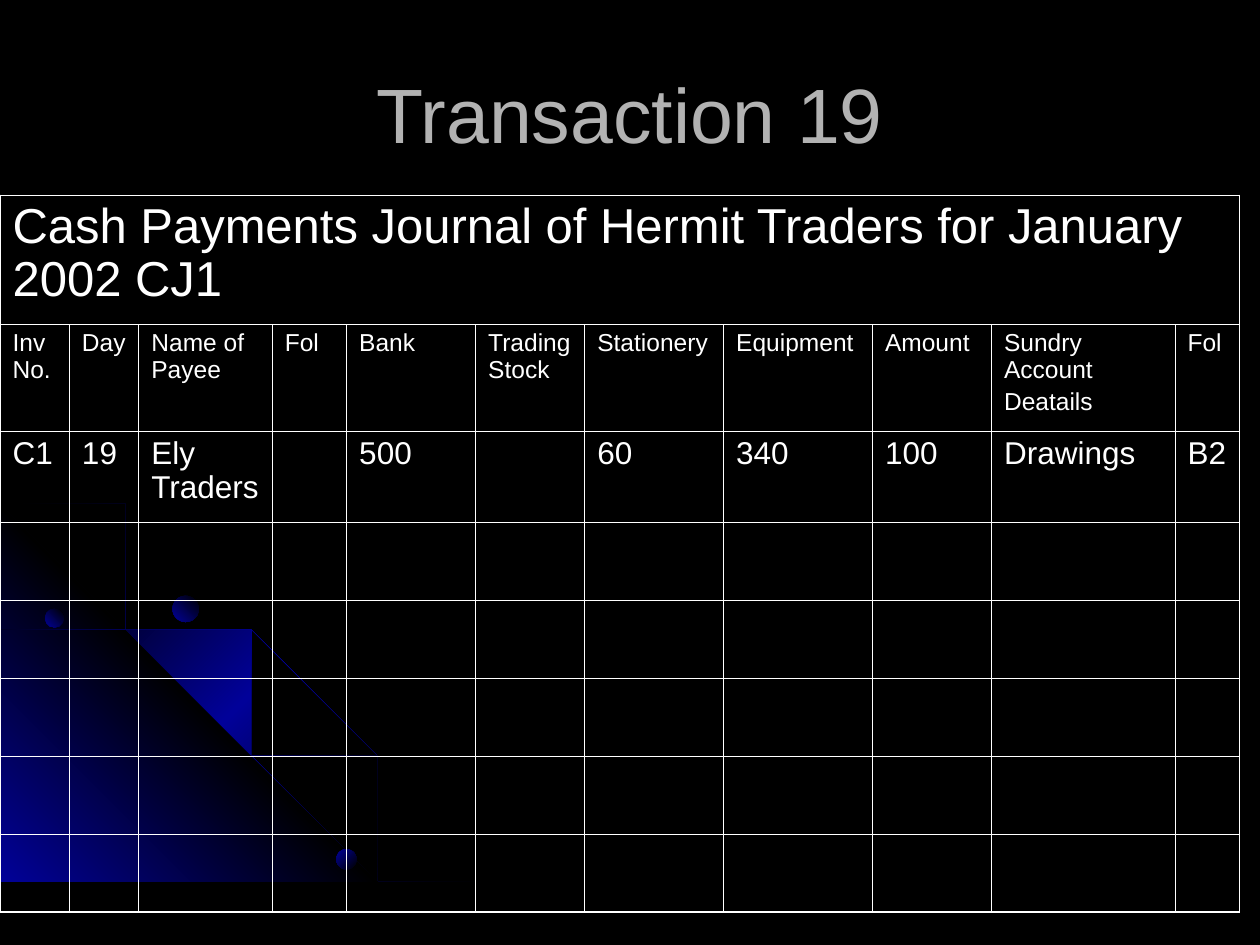
import lxml.etree
import pptx
import pptx.dml.color
import pptx.enum.shapes
import pptx.enum.text
import pptx.oxml.ns
import pptx.util
from dataclasses import dataclass

Cm = pptx.util.Cm
Pt = pptx.util.Pt
qn = pptx.oxml.ns.qn


@dataclass(frozen=True)
class Theme:
    font: str = "Arial"
    back: str = "000000"
    glow: str = "010199"
    title: str = "B2B2B2"
    text: str = "FFFFFF"
    title_size: float = 44
    caption_size: float = 28
    head_size: float = 14
    entry_size: float = 18
    head_gap: float = 3.5
    line_spacing: float = 0.96
    outer_line: float = 1.08
    inner_line: float = 0.45


THEME = Theme()


def paint_gradient(shape, colours, angle):
    """Fill with evenly spaced stops; angle is clockwise in degrees. Drops line and shadow."""
    shape.shadow.inherit = False
    shape.line.fill.background()
    shape.fill.gradient()
    gradient = shape._element.spPr.find(qn("a:gradFill"))
    stops = gradient.find(qn("a:gsLst"))
    for stop in list(stops):
        stops.remove(stop)
    for index, colour in enumerate(colours):
        position = 100000 * index // (len(colours) - 1)
        stop = lxml.etree.SubElement(stops, qn("a:gs"), pos=str(position))
        lxml.etree.SubElement(stop, qn("a:srgbClr"), val=colour)
    gradient.find(qn("a:lin")).set("ang", str(angle * 60000))


def write_text(frame, lines, size, colour, gap=0):
    for index, line in enumerate(lines):
        para = frame.paragraphs[0] if index == 0 else frame.add_paragraph()
        para.line_spacing = THEME.line_spacing
        if index:
            para.space_before = Pt(gap)
        span = para.add_run()
        span.text = line
        for name, value in {"name": THEME.font, "size": Pt(size)}.items():
            setattr(span.font, name, value)
        span.font.color.rgb = pptx.dml.color.RGBColor.from_string(colour)


deck = pptx.Presentation()
deck.slide_width, deck.slide_height = Cm(25.4), Cm(19.05)
page = deck.slides.add_slide(deck.slide_layouts[5])
page.background.fill.solid()
page.background.fill.fore_color.rgb = pptx.dml.color.RGBColor.from_string(THEME.back)

# Glowing corner and orbits; outline points are in units of 2.54 cm
outer_orbit = [
    (0.57, 4.47), (0.28, 4.41), (0, 4.35), (0, 4.38), (0.28, 4.43), (0.56, 4.49),
    (0.97, 4.61), (1.35, 4.78), (1.73, 4.99), (2.08, 5.23), (2.41, 5.49), (2.71, 5.79),
    (2.98, 6.12), (3.23, 6.49), (3.37, 6.73), (3.5, 6.98), (3.6, 7.23), (3.7, 7.49),
    (3.72, 7.49), (3.62, 7.23), (3.52, 6.98), (3.39, 6.73), (3.25, 6.48), (3, 6.11),
    (2.72, 5.78), (2.42, 5.48), (2.09, 5.21), (1.74, 4.97), (1.36, 4.77), (0.98, 4.59),
]
corner = [(3.22, 7.49), (0, 7.49), (0, 4.27)]
inner_orbit = [
    (2.85, 7.14), (2.94, 7.32), (3.01, 7.49), (3.03, 7.49), (2.96, 7.3), (2.86, 7.12),
    (2.66, 6.76), (2.42, 6.4), (2.15, 6.06), (1.84, 5.76), (1.52, 5.49), (1.17, 5.26),
    (0.79, 5.05), (0.41, 4.88), (0, 4.75), (0, 4.77), (0.39, 4.9), (0.77, 5.07),
    (1.15, 5.28), (1.5, 5.51), (1.83, 5.78), (2.13, 6.08), (2.4, 6.42), (2.65, 6.77),
]
middle_orbit = [
    (0, 4.42), (0, 4.44), (0.36, 4.57), (0.74, 4.75), (1.09, 4.94), (1.42, 5.18),
    (1.73, 5.44), (2.02, 5.75), (2.27, 6.05), (2.52, 6.41), (2.67, 6.67), (2.8, 6.94),
    (2.92, 7.22), (3.01, 7.49), (3.03, 7.49), (2.94, 7.2), (2.82, 6.93), (2.69, 6.65),
    (2.54, 6.39), (2.29, 6.03), (2.04, 5.73), (1.75, 5.43), (1.44, 5.16), (1.11, 4.93),
    (0.76, 4.73), (0.39, 4.55),
]
orbit_colours = [THEME.back, THEME.glow, THEME.back]
corner_colours = [THEME.glow, THEME.back, THEME.glow]
decor = page.shapes.add_group_shape()
for points, colours, angle in [
    (outer_orbit, orbit_colours, 225),
    (corner, corner_colours, 135),
    (inner_orbit, orbit_colours, 225),
    (middle_orbit, orbit_colours, 225),
]:
    outline = decor.shapes.build_freeform(*points[0], scale=Cm(2.54))
    outline.add_line_segments(points[1:], close=True)
    paint_gradient(outline.convert_to_shape(), colours, angle)
for left, top, diameter, angle in [
    (0.91, 12.27, 0.38, 135),
    (6.78, 17.12, 0.41, 225),
    (3.48, 12.01, 0.53, 135),
]:
    planet = decor.shapes.add_shape(
        pptx.enum.shapes.MSO_SHAPE.OVAL, Cm(left), Cm(top), Cm(diameter), Cm(diameter))
    paint_gradient(planet, [THEME.back, THEME.glow], angle)

# Title, in front of the decoration
title = page.shapes.title
page.shapes._spTree.append(title._element)
for name, value in {"left": 1.27, "top": 0.76, "width": 22.86, "height": 3.18}.items():
    setattr(title, name, Cm(value))
title.text_frame.vertical_anchor = pptx.enum.text.MSO_ANCHOR.MIDDLE
write_text(title.text_frame, ["Transaction 19"], THEME.title_size, THEME.title)
title.text_frame.paragraphs[0].alignment = pptx.enum.text.PP_ALIGN.CENTER

# Cash payments journal
column_widths = [1.4, 1.4, 2.69, 1.5, 2.6, 2.2, 2.8, 3, 2.4, 3.7, 1.3]
row_heights = [2.6, 2.16, 1.83] + [1.57] * 5
headings = ["Inv No.", "Day", "Name of Payee", "Fol", "Bank", "Trading Stock", "Stationery",
            "Equipment", "Amount", "Sundry Account\nDeatails", "Fol"]
entry = ["C1", "19", "Ely Traders", "", "500", "", "60", "340", "100", "Drawings", "B2"]
rows = [
    (["Cash Payments Journal of Hermit Traders for January 2002 CJ1"], THEME.caption_size),
    (headings, THEME.head_size),
    (entry, THEME.entry_size),
]
last_row, last_column = len(row_heights) - 1, len(column_widths) - 1
journal = page.shapes.add_table(
    len(row_heights), len(column_widths), Cm(0), Cm(3.94),
    Cm(sum(column_widths)), Cm(sum(row_heights))).table
journal.first_row = journal.horz_banding = False
for column, width in zip(journal.columns, column_widths):
    column.width = Cm(width)
for row, height in zip(journal.rows, row_heights):
    row.height = Cm(height)
journal.cell(0, 0).merge(journal.cell(0, last_column))

for row_index in range(last_row + 1):
    for column_index in range(last_column + 1):
        cell = journal.cell(row_index, column_index)
        cell.fill.background()
        on_edge = {
            "lnL": column_index == 0,
            "lnR": column_index + cell.span_width > last_column,
            "lnT": row_index == 0,
            "lnB": row_index == last_row,
        }
        properties = cell._tc.get_or_add_tcPr()
        for position, (side, outer) in enumerate(on_edge.items()):
            weight = THEME.outer_line if outer else THEME.inner_line
            border = lxml.etree.Element(qn("a:" + side), w=str(int(Pt(weight))))
            solid = lxml.etree.SubElement(border, qn("a:solidFill"))
            lxml.etree.SubElement(solid, qn("a:srgbClr"), val=THEME.text)
            properties.insert(position, border)

for row_index, (texts, size) in enumerate(rows):
    for column_index, text in enumerate(texts):
        if text:
            frame = journal.cell(row_index, column_index).text_frame
            write_text(frame, text.split("\n"), size, THEME.text, THEME.head_gap)

deck.save("out.pptx")
